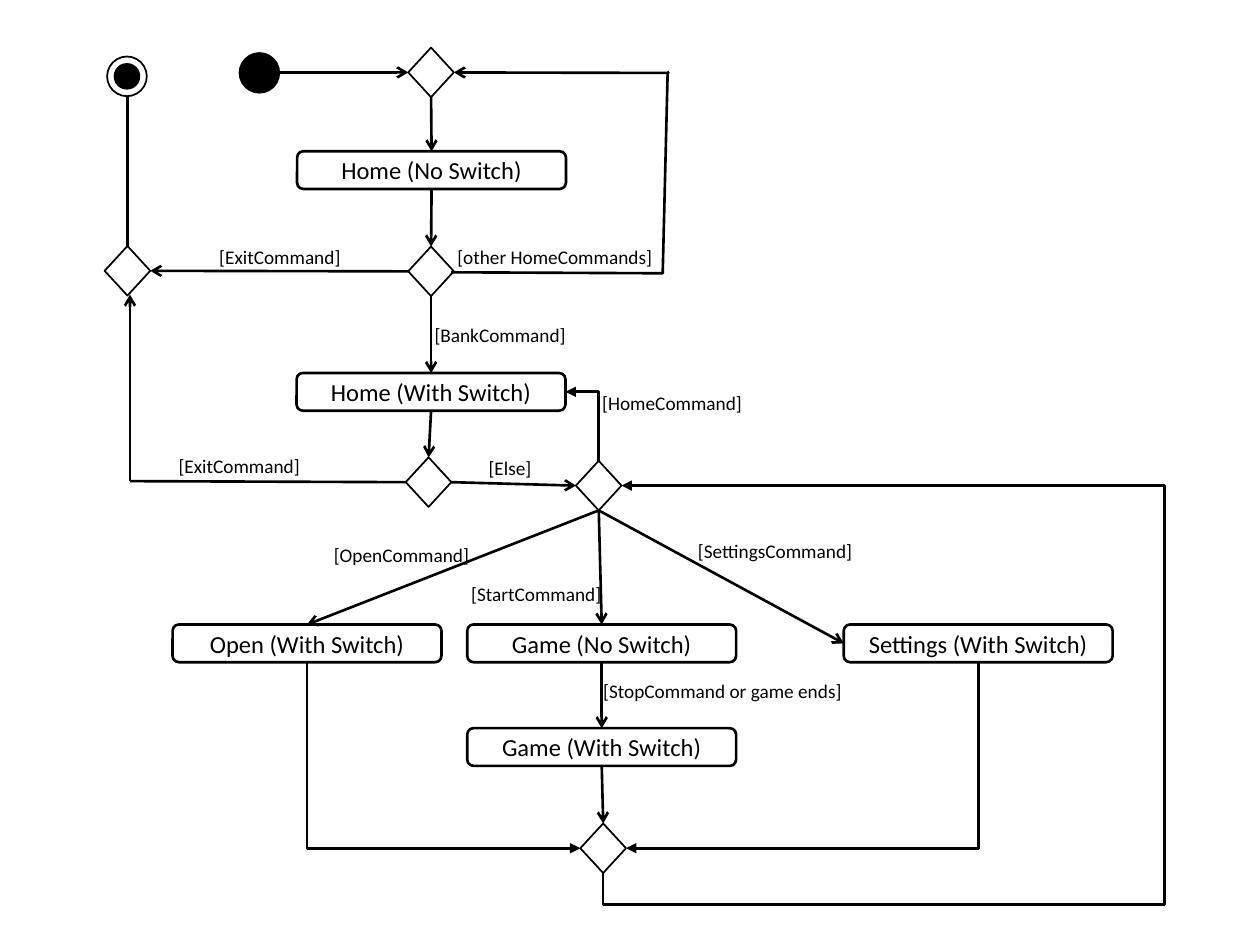
from dataclasses import dataclass
from typing import Optional, Union

from lxml import etree
from pptx import Presentation
from pptx import util as u
from pptx.dml.color import RGBColor
from pptx.enum import shapes, text
from pptx.oxml.ns import qn

BLACK = RGBColor(0x00, 0x00, 0x00)
WHITE = RGBColor(0xFF, 0xFF, 0xFF)
FONT = "Calibri"
KIND = shapes.MSO_SHAPE
TOP, LEFT, BOTTOM, RIGHT = range(4)
DIAMOND_W, DIAMOND_H = 0.92, 1.0
STATE_W, STATE_H = 5.42, 0.76
CIRCLE, DOT = 0.8, 0.5
ROW_Y = 12.59  # row of the three command states


@dataclass
class Node:
    key: str
    x: float
    y: float
    label: str = ""  # decisions have none


@dataclass
class Label:
    words: str
    x: float
    y: float
    w: float = 3.89


# An end is a (node key, side) pair or an (x, y) point in cm.
End = tuple[Union[str, float], float]


@dataclass
class Arrow:
    start: End
    end: End
    head: Optional[str] = "arrow"


@dataclass
class Elbow:
    start: End
    end: End
    turn: int
    flips: str = ""
    adjust: tuple[int, ...] = ()


NODES = [
    Node("entry", 8.23, 0.96),
    Node("home_choice", 8.23, 4.97),
    Node("exit", 2.11, 4.96),
    Node("switch_choice", 8.18, 9.22),
    Node("command", 11.61, 9.29),
    Node("merge", 11.7, 16.6),
    Node("home_no", 5.99, 3.05, "Home (No Switch)"),
    Node("home_with", 5.98, 7.52, "Home (With Switch)"),
    Node("open", 3.48, ROW_Y, "Open (With Switch)"),
    Node("game_no", 9.42, ROW_Y, "Game (No Switch)"),
    Node("settings", 17.01, ROW_Y, "Settings (With Switch)"),
    Node("game_with", 9.42, 14.68, "Game (With Switch)"),
]

LABELS = [
    Label("[ExitCommand]", 4.17, 4.83, 5.21),
    Label("[other HomeCommands]", 8.97, 4.83, 5.21),
    Label("[BankCommand]", 8.51, 6.4),
    Label("[HomeCommand]", 11.89, 7.77),
    Label("[ExitCommand]", 3.35, 9.04, 5.21),
    Label("[Else]", 9.6, 9.07, 1.93),
    Label("[OpenCommand]", 6.48, 10.82),
    Label("[StartCommand]", 9.25, 11.61),
    Label("[SettingsCommand]", 13.82, 10.74),
    Label("[StopCommand or game ends]", 11.91, 13.56, 5.41),
]

EXIT_CORNER = (2.62, 9.7)
ARROWS = [
    Arrow((5.63, 1.46), ("entry", LEFT)),
    Arrow((13.46, 1.47), ("entry", RIGHT)),
    Arrow(("entry", BOTTOM), ("home_no", TOP)),
    Arrow(("home_no", BOTTOM), ("home_choice", TOP)),
    Arrow(("home_choice", LEFT), ("exit", RIGHT)),
    Arrow(("exit", TOP), (2.57, 1.14)),
    Arrow(("home_choice", BOTTOM), ("home_with", TOP)),
    Arrow(("home_with", BOTTOM), ("switch_choice", TOP)),
    Arrow(("switch_choice", LEFT), EXIT_CORNER, None),
    Arrow(EXIT_CORNER, (2.62, 5.94)),
    Arrow(("switch_choice", RIGHT), ("command", LEFT)),
    Arrow(("command", BOTTOM), ("open", TOP)),
    Arrow(("command", BOTTOM), ("game_no", TOP)),
    Arrow(("command", BOTTOM), ("settings", LEFT)),
    Arrow(("game_no", BOTTOM), ("game_with", TOP)),
    Arrow(("game_with", BOTTOM), ("merge", TOP)),
]

ELBOWS = [
    Elbow(("settings", BOTTOM), ("merge", RIGHT), 90),
    Elbow(("open", BOTTOM), ("merge", LEFT), 270, "H"),
    Elbow(("command", TOP), ("home_with", RIGHT), 270, "V"),
    Elbow(("merge", BOTTOM), ("command", RIGHT), 90, "HV", (-8100, 3060200)),
]

HOME_LOOP = [(9.09, 5.49), (13.36, 5.51), (13.46, 1.47), (13.49, 1.45)]


def write(tf, words: str, size: int, formats: dict) -> None:
    for name, value in formats.items():
        setattr(tf, name, value)
    r = tf.paragraphs[0].add_run()
    r.text = words
    for name, value in {"name": FONT, "size": u.Pt(size)}.items():
        setattr(r.font, name, value)
    r.font.color.rgb = BLACK


def add_outline(shapes_, kind, x, y, w, h, fill=WHITE, line=1.0):
    sp = shapes_.add_shape(kind, u.Cm(x), u.Cm(y), u.Cm(w), u.Cm(h))
    sp.shadow.inherit = False
    sp.fill.solid()
    sp.fill.fore_color.rgb = fill
    sp.line.color.rgb = BLACK
    sp.line.width = u.Pt(line)
    return sp


def add_node(s, n: Node):
    if not n.label:
        return add_outline(s.shapes, KIND.FLOWCHART_DECISION, n.x, n.y, DIAMOND_W, DIAMOND_H)
    sp = add_outline(s.shapes, KIND.ROUNDED_RECTANGLE, n.x, n.y, STATE_W, STATE_H, line=1.5)
    write(sp.text_frame, n.label, 14, {"vertical_anchor": text.MSO_ANCHOR.MIDDLE})
    sp.text_frame.paragraphs[0].alignment = text.PP_ALIGN.CENTER
    return sp


def add_label(s, lb: Label) -> None:
    sp = s.shapes.add_textbox(u.Cm(lb.x), u.Cm(lb.y), u.Cm(lb.w), u.Cm(0.73))
    write(sp.text_frame, lb.words, 11,
          {"word_wrap": True, "auto_size": text.MSO_AUTO_SIZE.SHAPE_TO_FIT_TEXT})


def add_link(s, nodes: dict, start: End, end: End, kind, head: Optional[str]):
    points = [(0, 0) if isinstance(e[0], str) else e for e in (start, end)]
    c = s.shapes.add_connector(kind, *(u.Cm(v) for pt in points for v in pt))
    for e, join in ((start, c.begin_connect), (end, c.end_connect)):
        if isinstance(e[0], str):
            join(nodes[e[0]], e[1])
    c.line.color.rgb = BLACK
    c.line.width = u.Pt(1.5)
    sp_pr = c._element.spPr
    if head:
        etree.SubElement(sp_pr.find(qn("a:ln")), qn("a:tailEnd"), type=head)
    etree.SubElement(sp_pr, qn("a:effectLst"))
    return c


def add_elbow(s, nodes: dict, e: Elbow) -> None:
    c = add_link(s, nodes, e.start, e.end, shapes.MSO_CONNECTOR.ELBOW, "triangle")
    # A quarter turn swaps width and height about the same centre.
    w, h = c.width, c.height
    frame = {"left": c.left + (w - h) // 2, "top": c.top + (h - w) // 2,
             "width": h, "height": w}
    for name, value in frame.items():
        setattr(c, name, value)
    xfrm = c._element.spPr.find(qn("a:xfrm"))
    xfrm.set("rot", str(e.turn * 60000))
    for axis in "HV":
        xfrm.set("flip" + axis, str(int(axis in e.flips)))
    geom = c._element.spPr.find(qn("a:prstGeom"))
    geom.set("prst", f"bentConnector{2 + len(e.adjust)}")
    for i, value in enumerate(e.adjust, 1):
        etree.SubElement(geom.find(qn("a:avLst")), qn("a:gd"), name=f"adj{i}", fmla=f"val {value}")


def main() -> None:
    prs = Presentation()
    prs.slide_width, prs.slide_height = u.Cm(25.4), u.Cm(19.05)
    s = prs.slides.add_slide(prs.slide_layouts[6])

    # States and decisions, then the transitions between them
    nodes = {n.key: add_node(s, n) for n in NODES}
    for a in ARROWS:
        add_link(s, nodes, a.start, a.end, shapes.MSO_CONNECTOR.STRAIGHT, a.head)
    for e in ELBOWS:
        add_elbow(s, nodes, e)

    # Loop back to the entry decision
    corners = [(u.Cm(x), u.Cm(y)) for x, y in HOME_LOOP]
    fb = s.shapes.build_freeform(*corners[0])
    fb.add_line_segments(corners[1:], close=False)
    loop = fb.convert_to_shape()
    loop.shadow.inherit = False
    loop.fill.background()
    loop.line.color.rgb = BLACK
    loop.line.width = u.Pt(1.5)

    # Initial and final states
    add_outline(s.shapes, KIND.OVAL, 4.83, 1.07, CIRCLE, CIRCLE, BLACK)
    final = s.shapes.add_group_shape()
    for size, fill in ((CIRCLE, WHITE), (DOT, BLACK)):
        add_outline(final.shapes, KIND.OVAL, 2.56 - size / 2, 1.54 - size / 2, size, size, fill)

    # Transition conditions
    for lb in LABELS:
        add_label(s, lb)
    prs.save("out.pptx")


if __name__ == "__main__":
    main()
